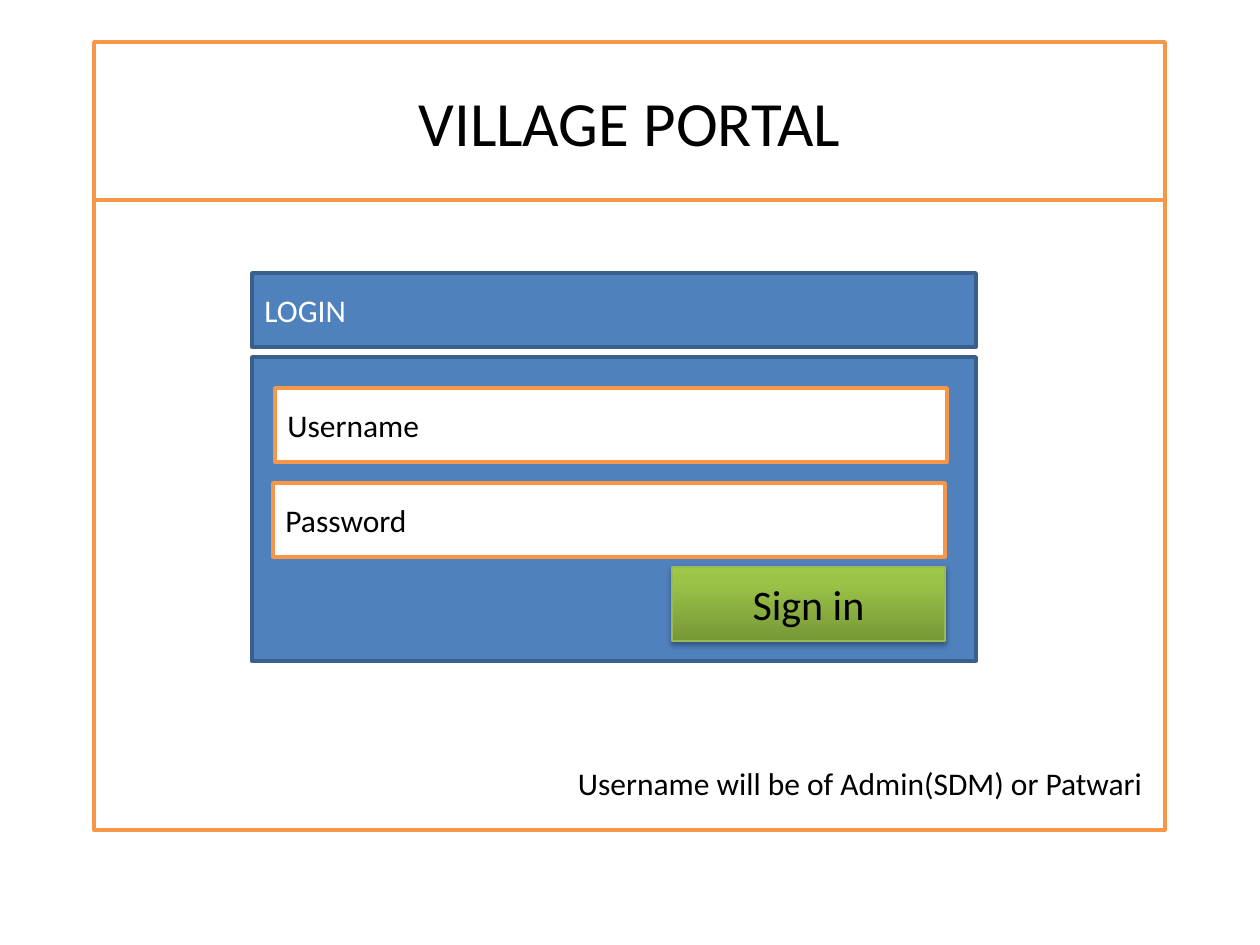
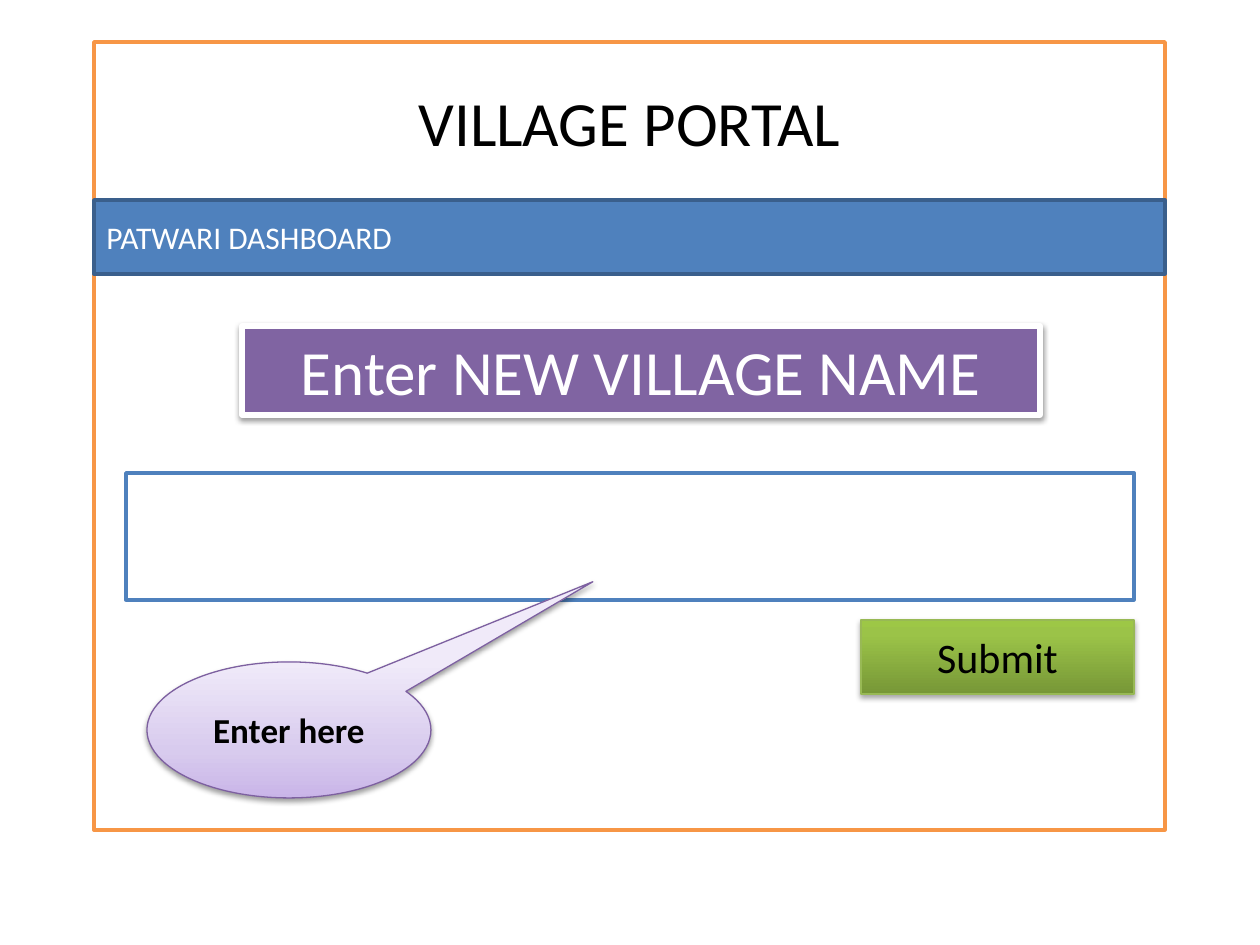
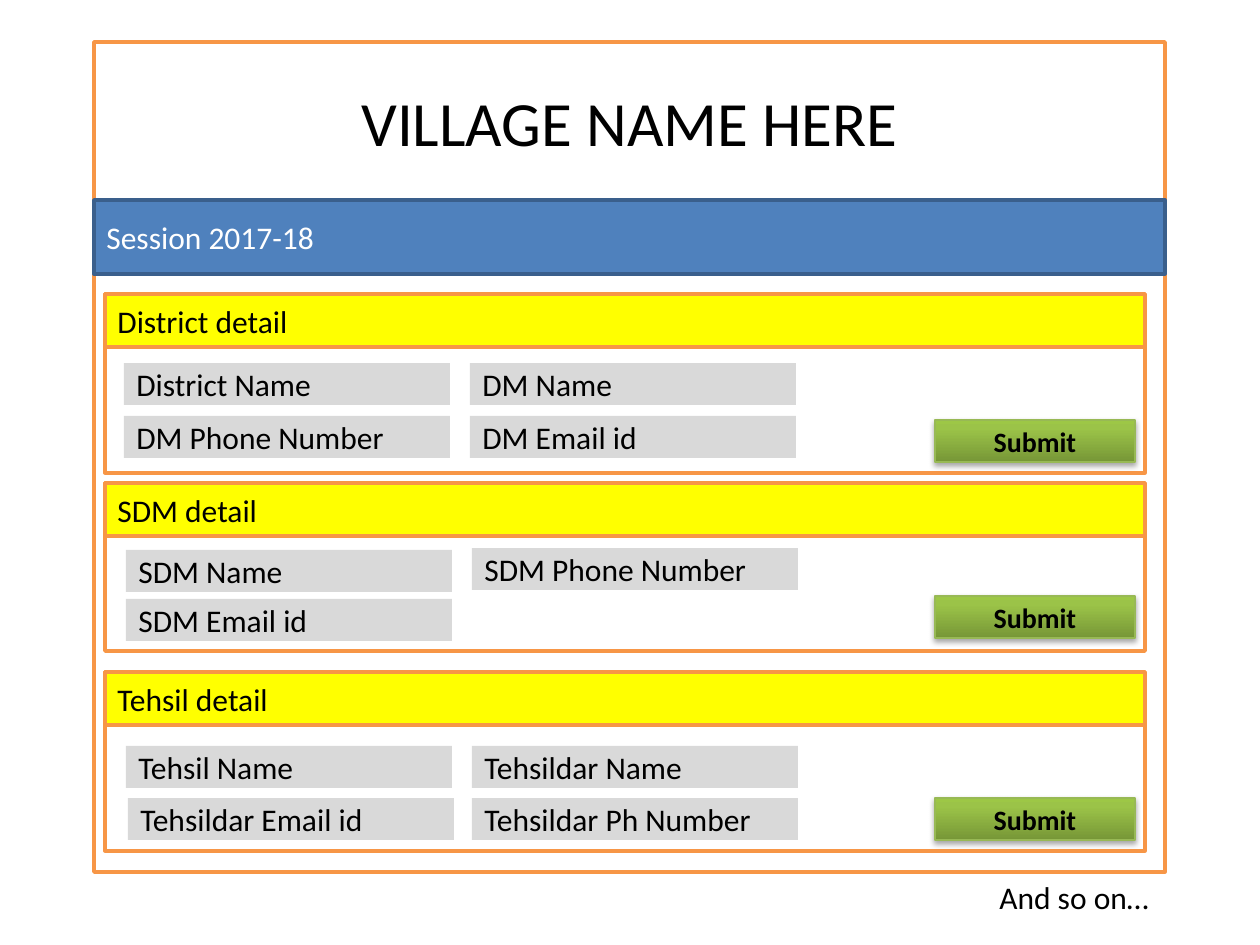
from lxml.etree import SubElement as Sub
from pptx import Presentation
from pptx.dml.color import RGBColor
from pptx.enum.shapes import MSO_SHAPE as Kind
from pptx.enum.text import MSO_ANCHOR as Anchor, MSO_AUTO_SIZE as Fit, PP_ALIGN as Align
from pptx.oxml.ns import qn
from pptx.util import Emu, Inches, Pt

FONT = "Calibri"
BLACK, WHITE, GREY, YELLOW = "000000", "FFFFFF", "D9D9D9", "FFFF00"
ORANGE, BLUE, NAVY, PURPLE = "F79646", "4F81BD", "3A5F8C", "8064A2"
LEAF, VIOLET = "98B955", "7D60A0"
GREEN = [(0, "779737"), (80, "9BC348"), (100, "9DC746")]
LILAC = [(0, "C9B5E8"), (35, "D8CBEE"), (100, "F0EAF9")]
HEAD = (94, 42, 1071, 158)
BAR = 74


def px(n):
    return Emu(round(n * 914400 / 126))


def color(code):
    return RGBColor.from_string(code)


def paint(shape, fill, line=None, width=2):
    if isinstance(fill, str):
        shape.fill.solid()
        shape.fill.fore_color.rgb = color(fill)
    else:
        shape.fill.gradient()
        shape.fill.gradient_angle = 90
        stops = shape._element.spPr.find(".//" + qn("a:gsLst"))
        for stop in list(stops):
            stops.remove(stop)
        for spot, code in fill:
            stop = Sub(stops, qn("a:gs"), pos=str(spot * 1000))
            Sub(stop, qn("a:srgbClr"), val=code)
    if line:
        shape.line.color.rgb = color(line)
        shape.line.width = Pt(width)
    else:
        shape.line.fill.background()


def shade(shape, alpha, dist):
    glow = Sub(shape._element.spPr.find(qn("a:effectLst")), qn("a:outerShdw"),
               blurRad="40000", dist=str(Pt(dist)), dir="5400000", rotWithShape="0")
    tint = Sub(glow, qn("a:srgbClr"), val=BLACK)
    Sub(tint, qn("a:alpha"), val=str(alpha * 1000))


def write(shape, text, size=18, ink=BLACK, align=Align.LEFT, bold=False):
    frame = shape.text_frame
    frame.vertical_anchor = Anchor.MIDDLE
    frame.text = text
    para = frame.paragraphs[0]
    para.alignment = align
    font = para.font
    font.name, font.size, font.bold = FONT, Pt(size), bold
    font.color.rgb = color(ink)


def block(slide, box, fill, line=None, width=2, kind=Kind.RECTANGLE):
    shape = slide.shapes.add_shape(kind, *map(px, box))
    shape.shadow.inherit = False
    paint(shape, fill, line, width)
    return shape


def label(slide, box, text, fill, line=None, **style):
    write(block(slide, box, fill, line), text, **style)


def button(slide, box, text, size=24, bold=False):
    shape = block(slide, box, GREEN, LEAF, 0.75)
    shade(shape, 35, 1.8)
    write(shape, text, size, align=Align.CENTER, bold=bold)


def page(deck, name, height=630):
    slide = deck.slides.add_slide(deck.slide_layouts[5])
    x, y, w, h = HEAD
    title = slide.shapes.title
    title.left, title.top, title.width, title.height = map(px, HEAD)
    paint(title, WHITE, ORANGE)
    write(title, name, 36, align=Align.CENTER)
    title.text_frame.auto_size = Fit.NONE
    block(slide, (x, y + h, w, height), WHITE, ORANGE)
    return slide


def banner(slide, text):
    x, y, w, h = HEAD
    label(slide, (x, y + h, w, BAR), text, BLUE, NAVY, ink=WHITE)


def login(slide, box):
    x, y, w, h = box
    top = BAR + 10
    block(slide, (x, y + top, w, h - top), BLUE, NAVY)
    label(slide, (x, y, w, BAR), "LOGIN", BLUE, NAVY, ink=WHITE)
    for text, dx, dy in (("Username", 23, 115), ("Password", 21, 210)):
        label(slide, (x + dx, y + dy, 672, BAR), text, WHITE, ORANGE)
    button(slide, (x + 420, y + 294, 273, BAR), "Sign in")


def entry(slide, box):
    x, y, w, h = box
    prompt = block(slide, (x + 116, y, 798, 89), PURPLE, WHITE, 3)
    shade(prompt, 38, 1.6)
    write(prompt, "Enter NEW VILLAGE NAME", 36, WHITE, Align.CENTER)
    block(slide, (x, y + 147, w, 127), WHITE, BLUE)
    bubble = block(slide, (x + 21, y + h - 136, 284, 136), LILAC, VIOLET, 0.75,
                   Kind.OVAL_CALLOUT)
    bubble.adjustments[0], bubble.adjustments[1] = 1.07, -1.09
    shade(bubble, 38, 1.6)
    write(bubble, "Enter here", 20, align=Align.CENTER, bold=True)
    button(slide, (x + w - 273, y + 294, 273, BAR), "Submit")


def detail(slide, box, name, fields, drop):
    x, y, w, h = box
    block(slide, box, WHITE, ORANGE)
    label(slide, (x, y, w, 53), name, YELLOW, ORANGE)
    for text, dx, dy in fields:
        label(slide, (x + dx, y + dy, 326, 42), text, GREY)
    button(slide, (x + w - 210, y + drop, 200, 42), "Submit", 16, True)


def note(slide, box, text):
    shape = slide.shapes.add_textbox(*map(px, box))
    write(shape, text)
    shape.text_frame.vertical_anchor = Anchor.TOP
    shape.text_frame.word_wrap = False
    shape.text_frame.auto_size = Fit.SHAPE_TO_FIT_TEXT


GROUPS = [
    ("District detail", 179, 126, [
        ("District Name", 19, 69), ("DM Name", 365, 69),
        ("DM Phone Number", 19, 122), ("DM Email id", 365, 122)]),
    ("SDM detail", 168, 113, [
        ("SDM Name", 21, 67), ("SDM Phone Number", 367, 65),
        ("SDM Email id", 21, 116)]),
    ("Tehsil detail", 179, 126, [
        ("Tehsil Name", 21, 74), ("Tehsildar Name", 367, 74),
        ("Tehsildar Email id", 23, 126), ("Tehsildar Ph Number", 367, 126)]),
]

deck = Presentation()
deck.slide_width, deck.slide_height = Inches(10), Inches(7.5)

slide = page(deck, "VILLAGE PORTAL")
login(slide, (252, 273, 724, 388))
label(slide, (483, 746, 672, BAR), "Username will be of Admin(SDM) or Patwari",
      WHITE, align=Align.RIGHT)

slide = page(deck, "VILLAGE PORTAL")
banner(slide, "PATWARI DASHBOARD")
entry(slide, (126, 326, 1008, 472))

slide = page(deck, "VILLAGE NAME HERE", 672)
banner(slide, "Session 2017-18")
for row, (name, height, drop, fields) in enumerate(GROUPS):
    detail(slide, (105, 294 + 189 * row, 1040, height), name, fields, drop)
note(slide, (987, 872, 179, 50), "And so on…")

deck.save("out.pptx")
